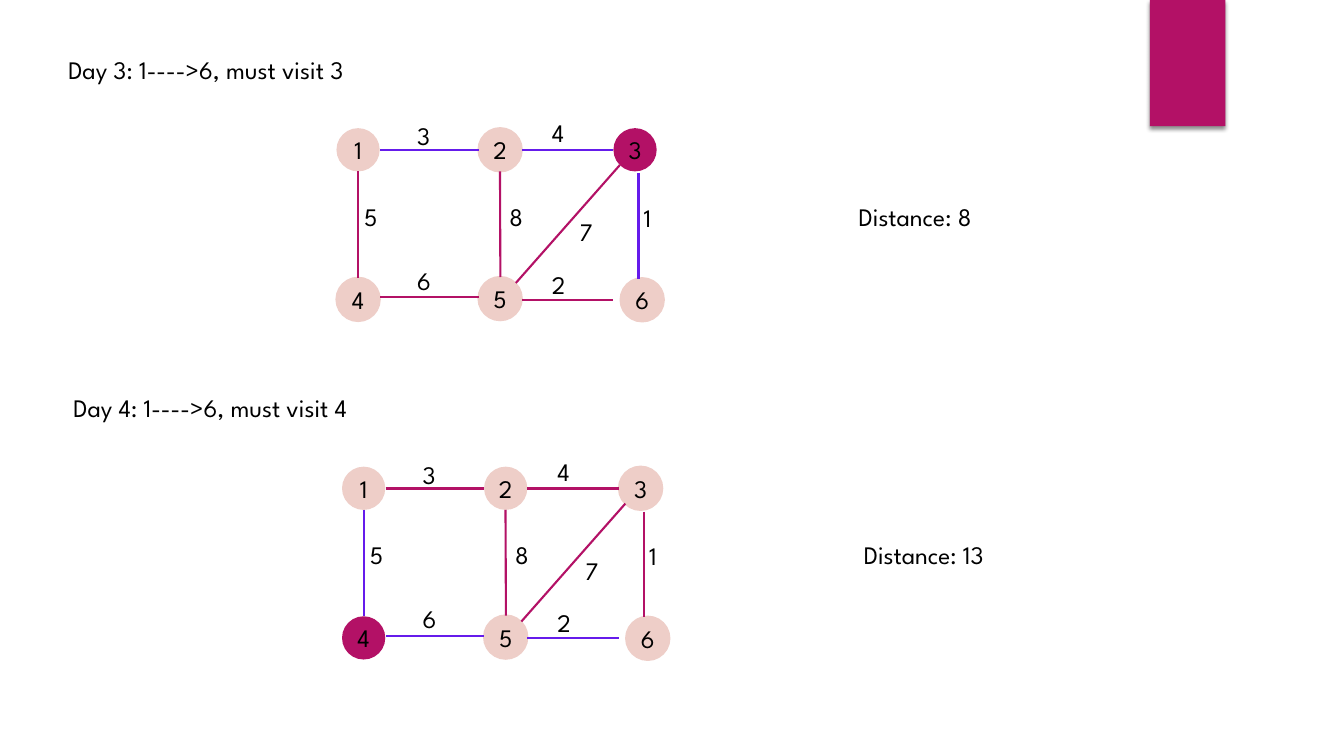
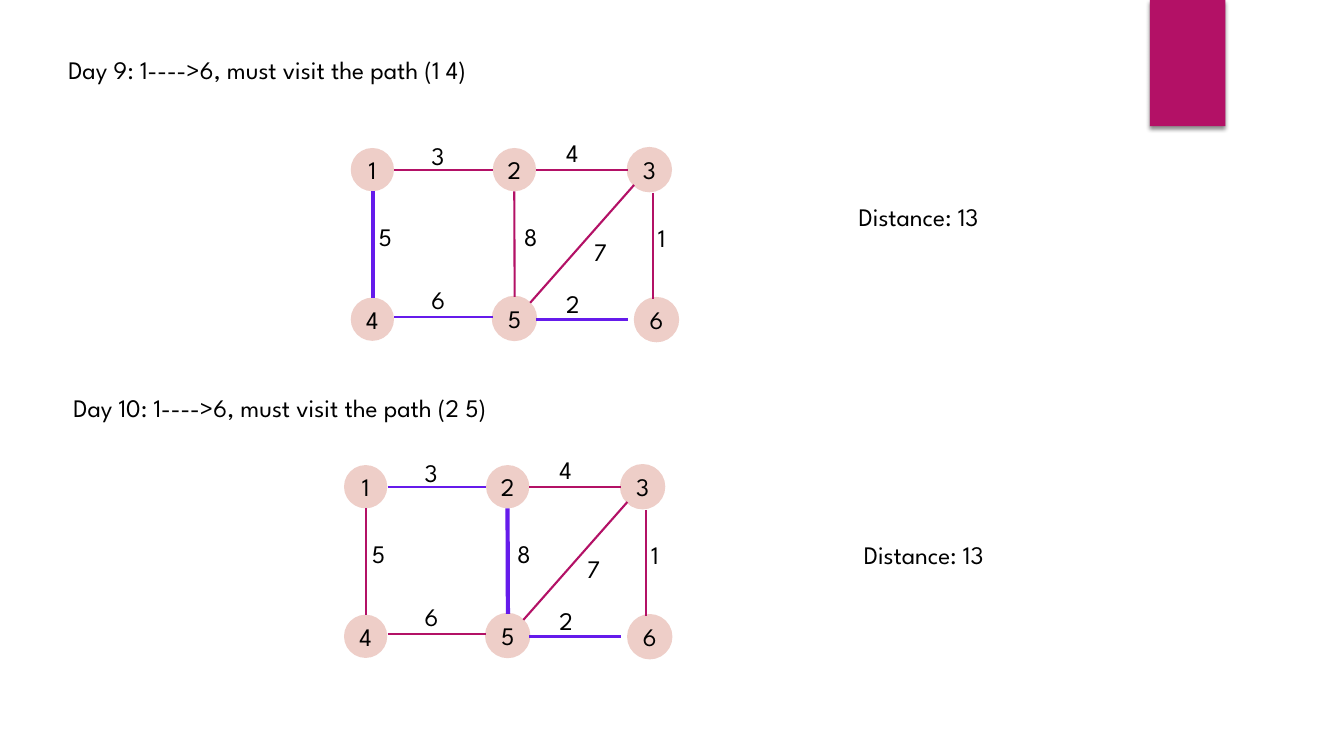
"""Build two slides of shortest-route puzzles on a six-node graph."""
import lxml.etree
import pptx
import pptx.dml.color
import pptx.enum.shapes
import pptx.enum.text
import pptx.oxml
import pptx.oxml.ns
import pptx.util

Cm = pptx.util.Cm
Pt = pptx.util.Pt
ALIGN = pptx.enum.text.PP_ALIGN
ANCHOR = pptx.enum.text.MSO_ANCHOR
FIT = pptx.enum.text.MSO_AUTO_SIZE
SHAPE = pptx.enum.shapes.MSO_SHAPE

FONT = "League Spartan"
COLOR = {"ink": "000000", "plum": "B31166", "blush": "EECEC8", "route": "651BEB"}

DISK = 1.09
NODES = {
    "1": (0, 0), "2": (3.58, 0), "3": (6.98, 0),
    "4": (0, 3.77), "5": (3.58, 3.75), "6": (7.16, 3.78),
}
EDGES = {
    "14": ((0.55, 1.09), (0.55, 3.77), "5", (0.45, 1.71)),
    "12": ((1.1, 0.55), (3.58, 0.55), "3", (1.78, -0.32)),
    "23": ((4.67, 0.55), (6.98, 0.55), "4", (5.18, -0.39)),
    "25": ((4.12, 1.09), (4.13, 3.75), "8", (4.11, 1.71)),
    "56": ((4.67, 4.32), (6.98, 4.32), "2", (5.18, 3.42)),
    "36": ((7.61, 1.13), (7.61, 3.8), "1", (7.49, 1.74)),
    "45": ((1.1, 4.26), (3.58, 4.26), "6", (1.78, 3.32)),
    "35": ((7.14, 0.93), (4.52, 3.9), "7", (5.88, 2.1)),
}

UPPER = (1.47, 1.24)
LOWER = (1.6, 9.75)
SLIDES = [
    [
        dict(spot=UPPER, wide=11.28, head="Day 3: 1---->6, must visit 3",
             goal="Distance: 8", shift=(7.01, 1.99), route=("12", "23", "36"),
             stop="3", rings="2456"),
        dict(spot=LOWER, wide=11.28, head="Day 4: 1---->6, must visit 4",
             goal="Distance: 13", shift=(7.02, 2.01), route=("14", "45", "56"),
             stop="4"),
    ],
    [
        dict(spot=UPPER, wide=15.67, head="Day 9: 1---->6, must visit the path (1 4)",
             goal="Distance: 13", shift=(7.37, 2.49), route=("14", "45", "56"),
             must="14"),
        dict(spot=LOWER, wide=13.77, head="Day 10: 1---->6, must visit the path (2 5)",
             goal="Distance: 13", shift=(7.07, 1.97), route=("12", "25", "56"),
             must="25"),
    ],
]


def tint(name):
    return pptx.dml.color.RGBColor.from_string(COLOR[name])


def write(shape, text, align=ALIGN.LEFT, anchor=ANCHOR.TOP, inset=0.25, fit=FIT.NONE):
    frame = shape.text_frame
    frame.word_wrap = True
    frame.auto_size = fit
    frame.vertical_anchor = anchor
    frame.margin_left = frame.margin_right = Cm(inset)
    frame.margin_top = frame.margin_bottom = Cm(inset / 2)
    para = frame.paragraphs[0]
    para.text = text
    para.alignment = align
    font = para.font
    font.name = FONT
    font.size = Pt(18)
    font.color.rgb = tint("ink")


def label(slide, text, left, top, width):
    box = slide.shapes.add_textbox(Cm(left), Cm(top), Cm(width), Cm(1.03))
    write(box, text, fit=FIT.SHAPE_TO_FIT_TEXT)


def title(slide, text, left, top, width):
    box = slide.shapes.title
    box.left, box.top, box.width, box.height = Cm(left), Cm(top), Cm(width), Cm(1.03)
    write(box, text)


def node(slide, name, left, top, fill, ring):
    disk = slide.shapes.add_shape(SHAPE.OVAL, Cm(left), Cm(top), Cm(DISK), Cm(DISK))
    disk.shadow.inherit = False
    disk.fill.solid()
    disk.fill.fore_color.rgb = tint(fill)
    if ring:
        disk.line.color.rgb = tint(fill)
        disk.line.width = Pt(1.5)
    else:
        disk.line.fill.background()
    write(disk, name, align=ALIGN.CENTER, anchor=ANCHOR.MIDDLE, inset=0)


def edge(slide, start, end, color, width):
    line = slide.shapes.add_connector(
        pptx.enum.shapes.MSO_CONNECTOR.STRAIGHT, *map(Cm, start + end))
    line.line.color.rgb = tint(color)
    line.line.width = Pt(width)
    lxml.etree.SubElement(line.element.spPr, pptx.oxml.ns.qn("a:effectLst"))


def graph(slide, left, top, route, stop, must, rings):
    def place(point):
        return left + point[0], top + point[1]

    for name, point in NODES.items():
        fill = "plum" if name == stop else "blush"
        node(slide, name, *place(point), fill, name in rings and name != stop)
    for name, (start, end, cost, spot) in EDGES.items():
        color = "route" if name in route else "plum"
        edge(slide, place(start), place(end), color, 3 if name == must else 1.5)
        label(slide, cost, *place(spot), 1.17)


def panel(slide, spot, wide, head, goal, shift, route, stop="", must="", rings="356"):
    left, top = spot
    heading = title if spot == UPPER else label
    heading(slide, head, left, top, wide)
    graph(slide, left + shift[0], top + shift[1], route, stop, must, rings)
    label(slide, goal, left + 19.92, top + 3.71, 7.16)


def band(slide):
    bar = slide.shapes.add_shape(SHAPE.RECTANGLE, Cm(28.98), 0, Cm(1.9), Cm(3.18))
    bar.fill.solid()
    bar.fill.fore_color.rgb = tint("plum")
    bar.line.fill.background()
    bar.element.spPr.append(pptx.oxml.parse_xml(
        f'<a:effectLst {pptx.oxml.ns.nsdecls("a")}>'
        '<a:outerShdw blurRad="38100" dist="25400" dir="5400000" rotWithShape="0">'
        '<a:srgbClr val="000000"><a:alpha val="45000"/></a:srgbClr>'
        '</a:outerShdw></a:effectLst>'))
    bar.element.nvSpPr.cNvPr.set("id", "20")
    slide.slide_layout.shapes.element.insert(2, bar.element)


def main():
    deck = pptx.Presentation()
    deck.slide_width, deck.slide_height = Cm(33.87), Cm(19.05)
    for index, panels in enumerate(SLIDES):
        slide = deck.slides.add_slide(deck.slide_layouts[5])
        if index == 0:
            band(slide)
        for part in panels:
            panel(slide, **part)
    deck.save("out.pptx")


if __name__ == "__main__":
    main()
